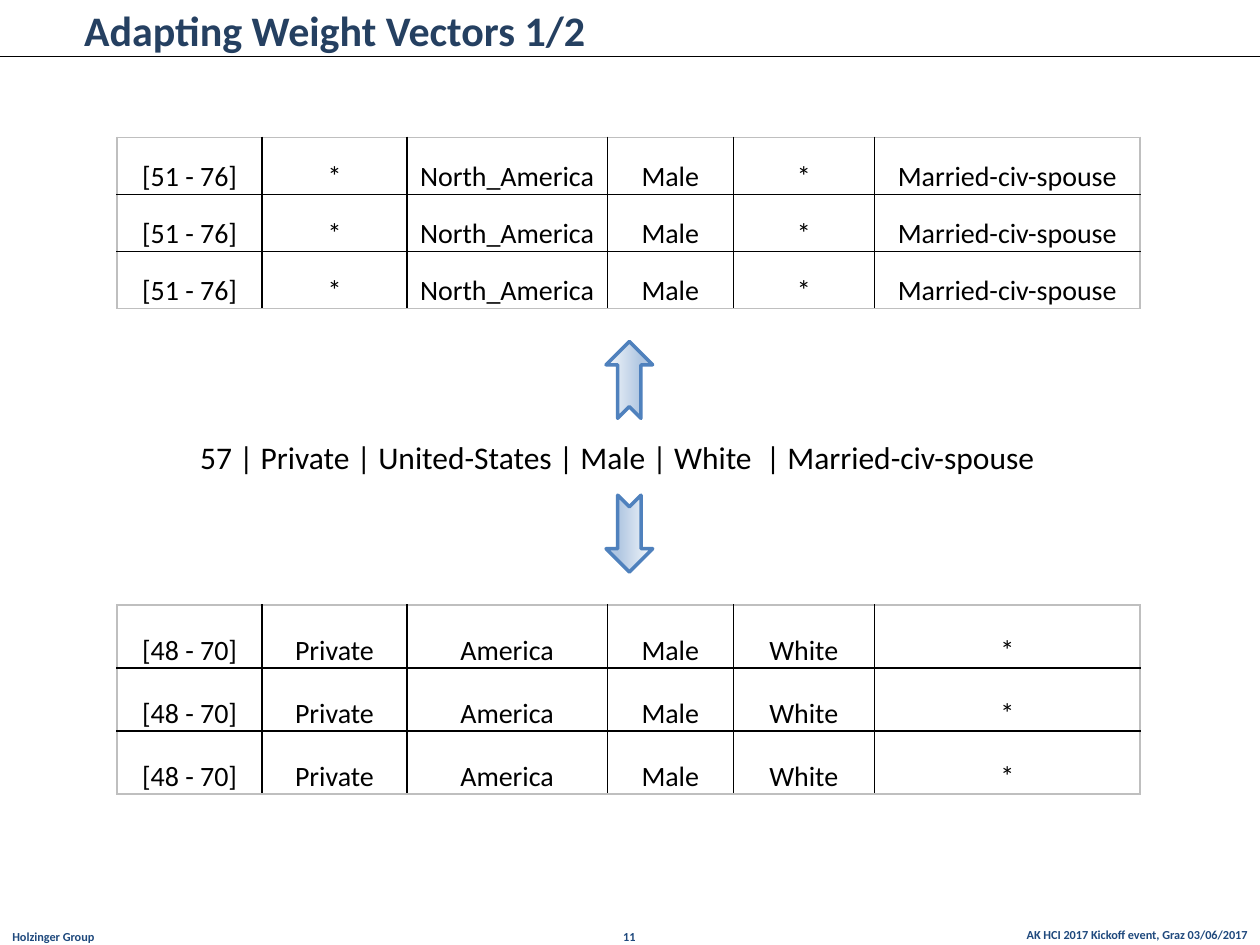
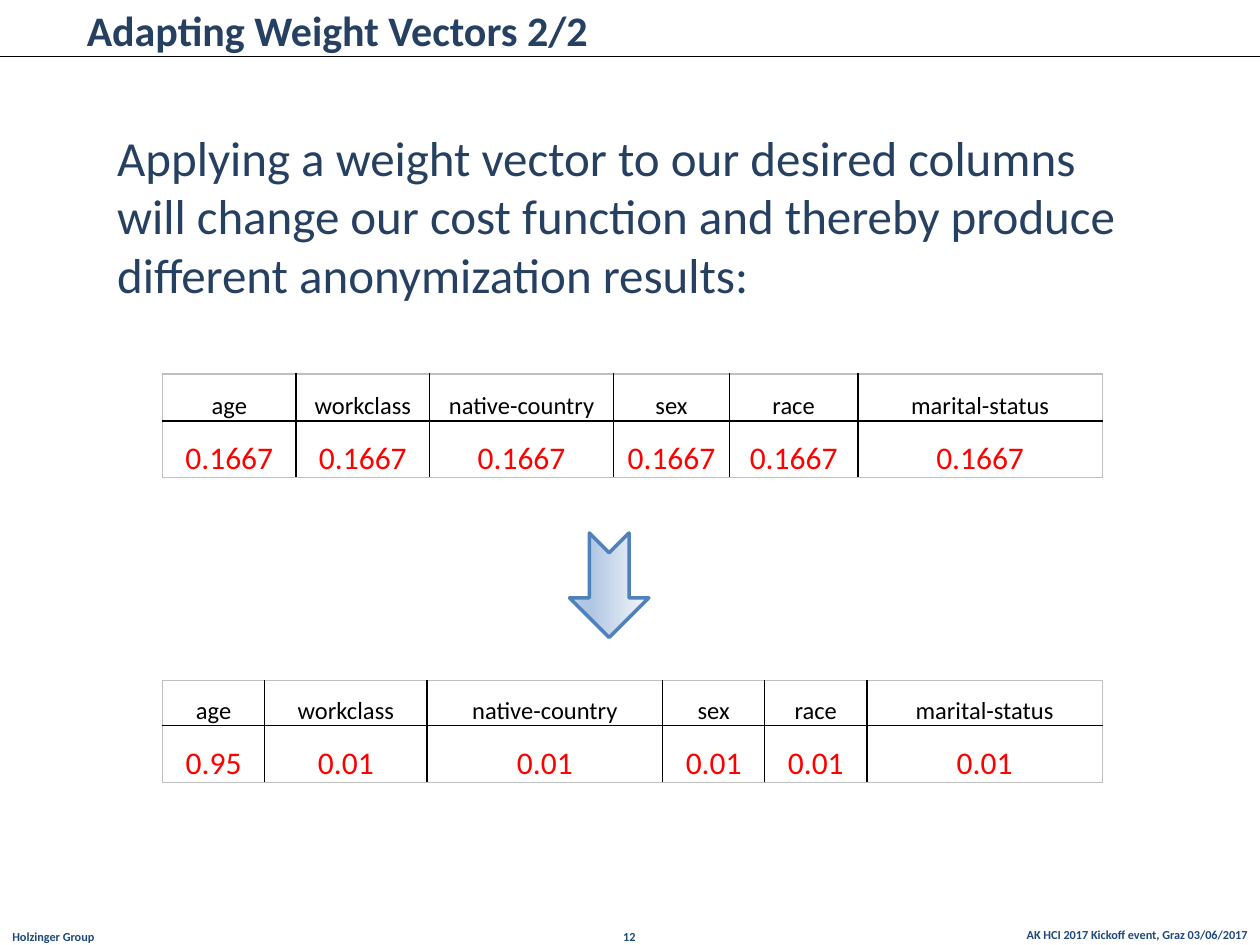
from dataclasses import dataclass

from lxml import etree
from pptx import Presentation
from pptx.dml.color import RGBColor
from pptx.enum.shapes import MSO_CONNECTOR, MSO_SHAPE
from pptx.enum.text import MSO_ANCHOR, PP_ALIGN
from pptx.oxml.ns import qn
from pptx.util import Inches, Pt

LEFT, CENTER, RIGHT = PP_ALIGN.LEFT, PP_ALIGN.CENTER, PP_ALIGN.RIGHT
TOP, BOTTOM = MSO_ANCHOR.TOP, MSO_ANCHOR.BOTTOM
STRAIGHT = MSO_CONNECTOR.STRAIGHT
NOTCHED_ARROW = MSO_SHAPE.NOTCHED_RIGHT_ARROW

GRID_COLUMNS, GRID_ROWS = 100, 75
WIDTH, HEIGHT = Inches(10), Inches(7.5)
UP, DOWN = 270, 90


@dataclass(frozen=True)
class Theme:
    font: str = "Calibri"
    ink: str = "000000"
    title: str = "254061"
    footer: str = "1F497D"
    weight: str = "FF0000"
    frame: str = "BFBFBF"
    arrow_line: str = "4F81BD"
    arrow_stops: tuple = ((0, "F6F9FC"), (74, "B0C6E1"),
                          (83, "B0C6E1"), (100, "CAD9EB"))
    title_size: int = 24
    body_size: int = 28
    record_size: int = 18
    cell_size: int = 16
    label_size: int = 14
    footer_size: int = 7


T = Theme()


def gx(columns):
    return round(WIDTH * columns / GRID_COLUMNS)


def gy(rows):
    return round(HEIGHT * rows / GRID_ROWS)


def box(x, y, w, h):
    return gx(x), gy(y), gx(w), gy(h)


def set_all(target, values):
    for name, value in values.items():
        setattr(target, name, value)


def write(tf, text, size, color, align=LEFT, bold=False):
    p = tf.paragraphs[0]
    p.alignment = align
    r = p.add_run()
    r.text = text
    set_all(r.font, {"name": T.font, "size": Pt(size), "bold": bold})
    r.font.color.rgb = RGBColor.from_string(color)


def add_text(s, at, text, size, color, align=LEFT, bold=False, **frame):
    tf = s.shapes.add_textbox(*box(*at)).text_frame
    set_all(tf, {"word_wrap": True, "vertical_anchor": TOP, **frame})
    write(tf, text, size, color, align, bold)


def add_rule(s, y):
    line = s.shapes.add_connector(STRAIGHT, 0, gy(y), WIDTH, gy(y))
    line.line.color.rgb = RGBColor.from_string(T.ink)
    line.line.width = Pt(0.75)
    etree.SubElement(line._element.spPr, qn("a:effectLst"))


def add_color(parent, color):
    etree.SubElement(parent, qn("a:srgbClr"), val=color)


def add_arrow(s, at, direction):
    sp = s.shapes.add_shape(NOTCHED_ARROW, *box(*at))
    sp.rotation = direction
    sp.shadow.inherit = False
    sp.line.color.rgb = RGBColor.from_string(T.arrow_line)
    sp.line.width = Pt(2)
    sp.fill.gradient()
    sp.fill.gradient_angle = 270
    stops = sp._element.spPr.find(".//" + qn("a:gsLst"))
    for stop in list(stops):
        stops.remove(stop)
    for share, color in T.arrow_stops:
        stop = etree.SubElement(stops, qn("a:gs"), pos=str(share * 1000))
        add_color(stop, color)


def add_borders(cell, edges):
    tc_pr = cell._tc.get_or_add_tcPr()
    for side, outer in edges.items():
        line = etree.SubElement(tc_pr, qn("a:ln" + side), w=str(Pt(1)))
        fill = etree.SubElement(line, qn("a:solidFill"))
        add_color(fill, T.frame if outer else T.ink)


def add_grid_table(s, x, y, widths, heights, rows, styles):
    at = box(x, y, sum(widths), sum(heights))
    table = s.shapes.add_table(len(rows), len(widths), *at).table
    set_all(table, {"first_row": False, "horz_banding": False})
    for column, width in zip(table.columns, widths):
        column.width = gx(width)
    last_row, last_column = len(rows) - 1, len(widths) - 1
    for i, (row, (size, color)) in enumerate(zip(rows, styles)):
        table.rows[i].height = gy(heights[i])
        for j, text in enumerate(row):
            cell = table.cell(i, j)
            add_borders(cell, {"L": j == 0, "R": j == last_column,
                               "T": i == 0, "B": i == last_row})
            cell.fill.background()
            inset = Inches(0.01)
            set_all(cell, {"vertical_anchor": BOTTOM, "margin_left": inset,
                           "margin_right": inset, "margin_top": inset,
                           "margin_bottom": 0})
            write(cell.text_frame, text, size, color, CENTER)


def add_group_table(s, y, row_height, record):
    add_grid_table(s, 9.3, y, (11.5, 11.5, 15.9, 10, 11.2, 21.1),
                   [row_height] * 3, [record] * 3, [(T.cell_size, T.ink)] * 3)


def add_weight_table(s, y, widths, heights, weights):
    labels = ("age", "workclass", "native-country", "sex", "race",
              "marital-status")
    add_grid_table(s, 12.9, y, widths, heights, (labels, weights),
                   ((T.label_size, T.ink), (T.record_size, T.weight)))


def add_base_slide(prs, title, title_x, number):
    s = prs.slides.add_slide(prs.slide_layouts[6])
    add_rule(s, 4.5)
    footers = (
        ((65.7, 72, 34.3, 3), "AK HCI 2017 Kickoff event, Graz 03/06/2017", RIGHT),
        ((0, 72.1, 28.7, 3), "Holzinger Group", LEFT),
        ((40.7, 72.1, 18.5, 3), str(number), CENTER),
    )
    for at, text, align in footers:
        add_text(s, at, text, T.footer_size, T.footer, align, True,
                 vertical_anchor=BOTTOM, margin_bottom=Inches(0.02))
    add_text(s, (title_x, -0.1, 85.4 - title_x, 4.7), title,
             T.title_size, T.title, bold=True)
    return s


def build_group_slide(prs):
    s = add_base_slide(prs, "Adapting Weight Vectors 1/2", 5.7, 11)
    add_group_table(s, 10.9, 4.53, ("[51 - 76]", "*", "North_America", "Male",
                                    "*", "Married-civ-spouse"))
    add_group_table(s, 48, 5, ("[48 - 70]", "Private", "America", "Male",
                               "White", "*"))
    add_text(s, (14.9, 34.3, 70, 4),
             "57 | Private | United-States | Male | White  | Married-civ-spouse",
             T.record_size, T.ink)
    for y, direction in ((28.3, UP), (40.5, DOWN)):
        add_arrow(s, (46.9, y, 6.1, 3.7), direction)


def build_weight_slide(prs):
    s = add_base_slide(prs, "Adapting Weight Vectors 2/2", 5.9, 12)
    inset = Inches(0.05)
    add_text(s, (8.8, 9.6, 82.7, 15.1),
             "Applying a weight vector to our desired columns will change our "
             "cost function and thereby produce different anonymization results:",
             T.body_size, T.title, margin_left=inset, margin_right=inset,
             margin_top=inset, margin_bottom=inset)
    add_weight_table(s, 29.7, (10.6, 10.6, 14.6, 9.2, 10.2, 19.4), (3.7, 4.5),
                     ["0.1667"] * 6)
    add_arrow(s, (44.2, 43.3, 8.3, 6.3), DOWN)
    add_weight_table(s, 54, (8.1, 12.9, 18.7, 8.1, 8.1, 18.7), (3.6, 4.5),
                     ["0.95"] + ["0.01"] * 5)


def main():
    prs = Presentation()
    set_all(prs, {"slide_width": WIDTH, "slide_height": HEIGHT})
    build_group_slide(prs)
    build_weight_slide(prs)
    prs.save("out.pptx")


if __name__ == "__main__":
    main()
